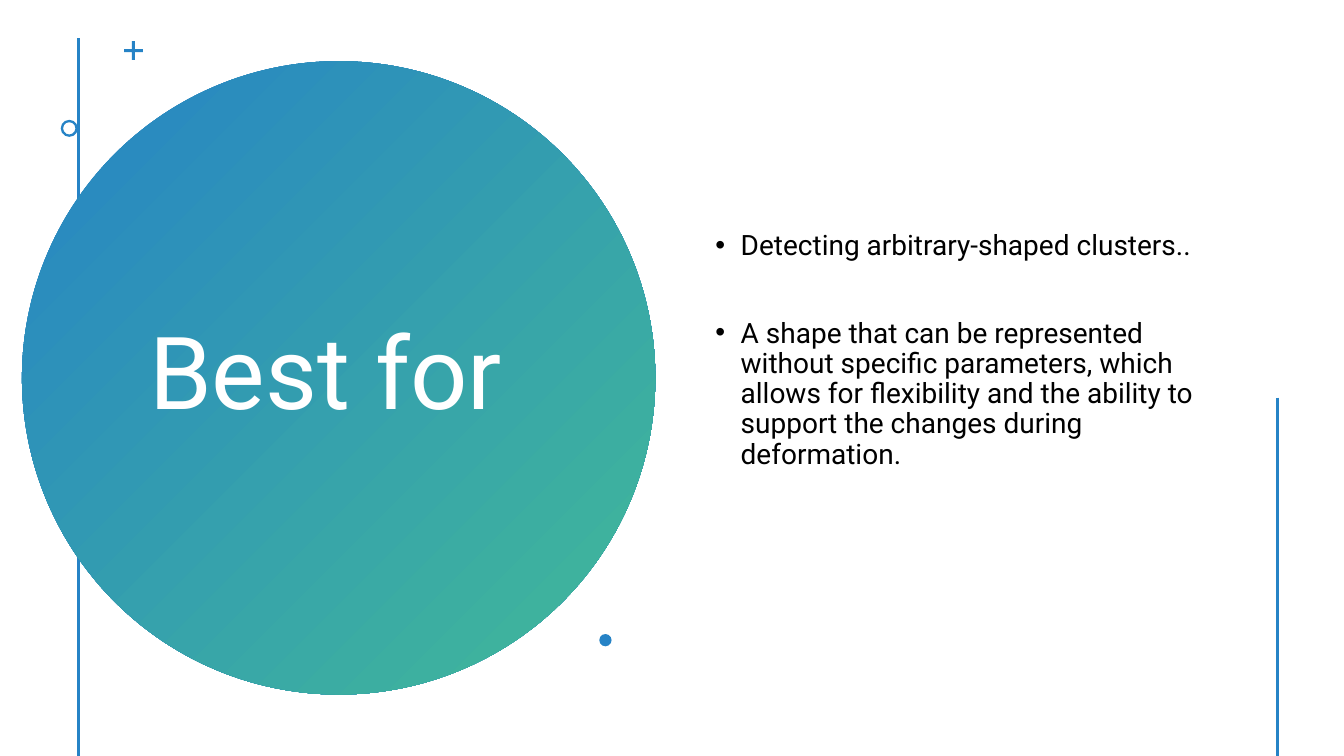
from lxml import etree
from pptx import Presentation
from pptx.dml.color import RGBColor
from pptx.enum.shapes import MSO_CONNECTOR, MSO_SHAPE
from pptx.enum.text import MSO_ANCHOR, PP_ALIGN
from pptx.oxml.ns import qn
from pptx.util import Pt

BLUE = RGBColor(0x26, 0x83, 0xC6)
GREEN = RGBColor(0x42, 0xBA, 0x97)
WHITE = RGBColor(0xFF, 0xFF, 0xFF)
BLACK = RGBColor(0, 0, 0)

OVAL, DONUT, CROSS = MSO_SHAPE.OVAL, MSO_SHAPE.DONUT, MSO_SHAPE.CROSS
STRAIGHT = MSO_CONNECTOR.STRAIGHT
MIDDLE = MSO_ANCHOR.MIDDLE
LEFT, CENTER = PP_ALIGN.LEFT, PP_ALIGN.CENTER

FONT = "Roboto"
BULLET_INDENT = 18
BEST_USES = [
    "Detecting arbitrary-shaped clusters..",
    "A shape that can be represented without specific parameters, which allows "
    "for flexibility and the ability to support the changes during deformation.",
]


def add_rule(slide, x, top, bottom):
    """Draw a vertical accent line."""
    rule = slide.shapes.add_connector(STRAIGHT, Pt(x), Pt(top), Pt(x), Pt(bottom))
    rule.line.color.rgb = BLUE
    rule.line.width = Pt(2)
    etree.SubElement(rule._element.spPr, qn("a:effectLst"))


def add_ornament(slide, kind, left, top, size, adjustment=None):
    """Draw a square-framed blue shape without outline and return it."""
    ornament = slide.shapes.add_shape(kind, Pt(left), Pt(top), Pt(size), Pt(size))
    ornament.shadow.inherit = False
    ornament.fill.solid()
    ornament.fill.fore_color.rgb = BLUE
    ornament.line.fill.background()
    if adjustment is not None:
        ornament.adjustments[0] = adjustment
    return ornament


def add_gradient_circle(slide, left, top, size):
    circle = add_ornament(slide, OVAL, left, top, size)
    circle.fill.gradient()
    circle.fill.gradient_angle = 315
    for stop, color in zip(circle.fill.gradient_stops, (BLUE, GREEN)):
        stop.color.rgb = color


def add_bullet(paragraph):
    properties = paragraph._p.get_or_add_pPr()
    properties.set("marL", str(Pt(BULLET_INDENT)))
    properties.set("indent", str(Pt(-BULLET_INDENT)))
    etree.SubElement(properties, qn("a:buFont"), typeface="Arial")
    etree.SubElement(properties, qn("a:buChar"), char="•")


def add_text(slide, texts, left, top, width, height, *, size, color,
             align=LEFT, first_gap=0, gap=0, bulleted=False):
    """Add a vertically centred text box with one paragraph per text."""
    box = slide.shapes.add_textbox(Pt(left), Pt(top), Pt(width), Pt(height))
    frame = box.text_frame
    frame.word_wrap = True
    frame.vertical_anchor = MIDDLE
    for index, text in enumerate(texts):
        paragraph = frame.add_paragraph() if index else frame.paragraphs[0]
        paragraph.alignment = align
        paragraph.line_spacing = 0.9
        paragraph.space_before = Pt(gap if index else first_gap)
        if bulleted:
            add_bullet(paragraph)
        run = paragraph.add_run()
        run.text = text
        run.font.name = FONT
        run.font.size = Pt(size)
        run.font.color.rgb = color


def main():
    deck = Presentation()
    deck.slide_width, deck.slide_height = Pt(960), Pt(540)
    slide = deck.slides.add_slide(deck.slide_layouts[6])

    add_rule(slide, 56, 27.5, 540)
    add_gradient_circle(slide, 15.7, 43.7, 452.4)
    add_text(slide, ["Best for "], 98, 101.5, 287, 336,
             size=72, color=WHITE, align=CENTER)

    add_ornament(slide, CROSS, 88.6, 29.4, 13.4, adjustment=0.42)
    add_ornament(slide, DONUT, 43.4, 85.6, 12.2, adjustment=0.14)
    add_text(slide, BEST_USES, 504, 30.2, 369, 440.6,
             size=20, color=BLACK, first_gap=10, gap=41, bulleted=True)
    add_ornament(slide, OVAL, 428.1, 452.9, 8.8)
    add_rule(slide, 912.4, 284, 540)

    deck.save("out.pptx")


if __name__ == "__main__":
    main()
